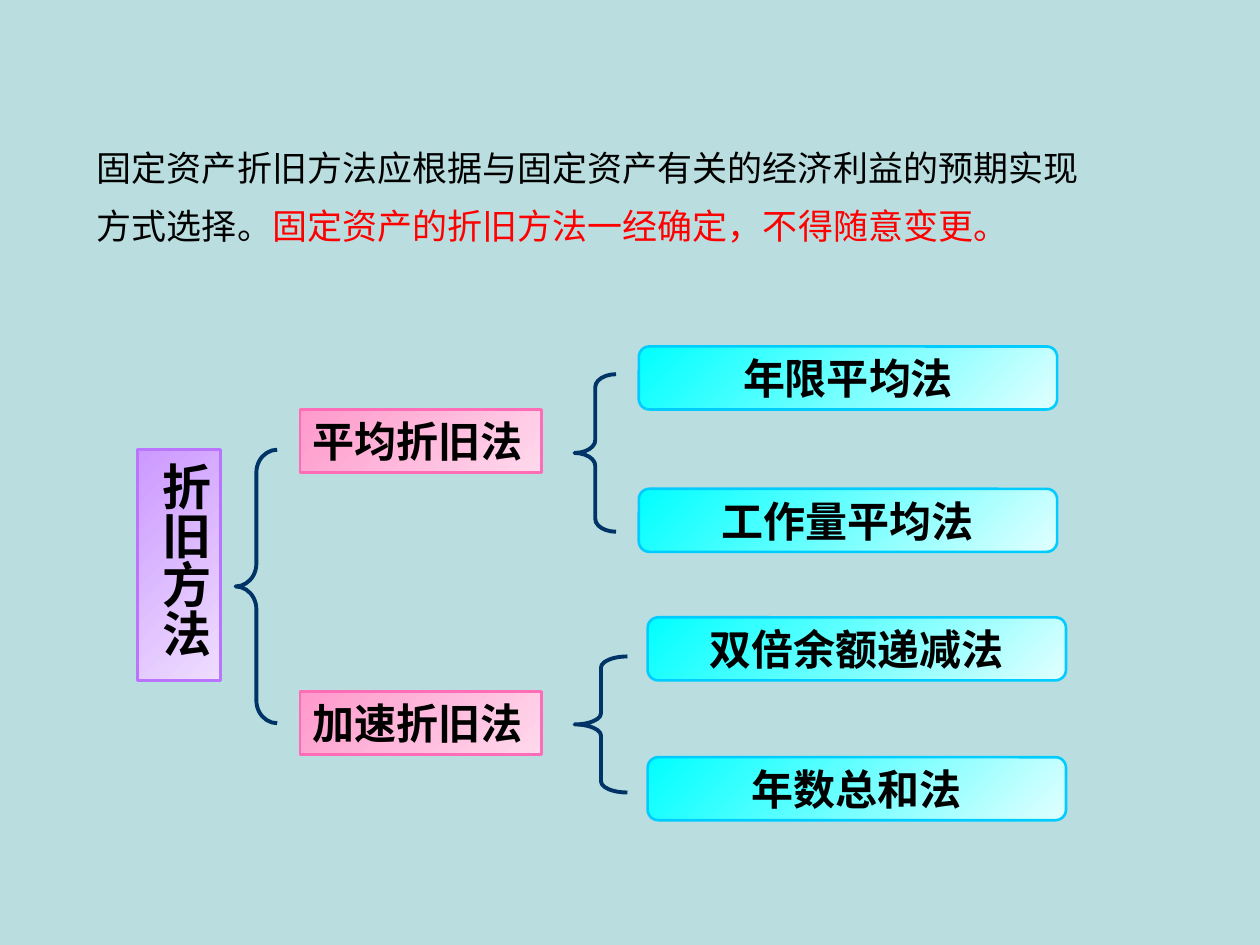
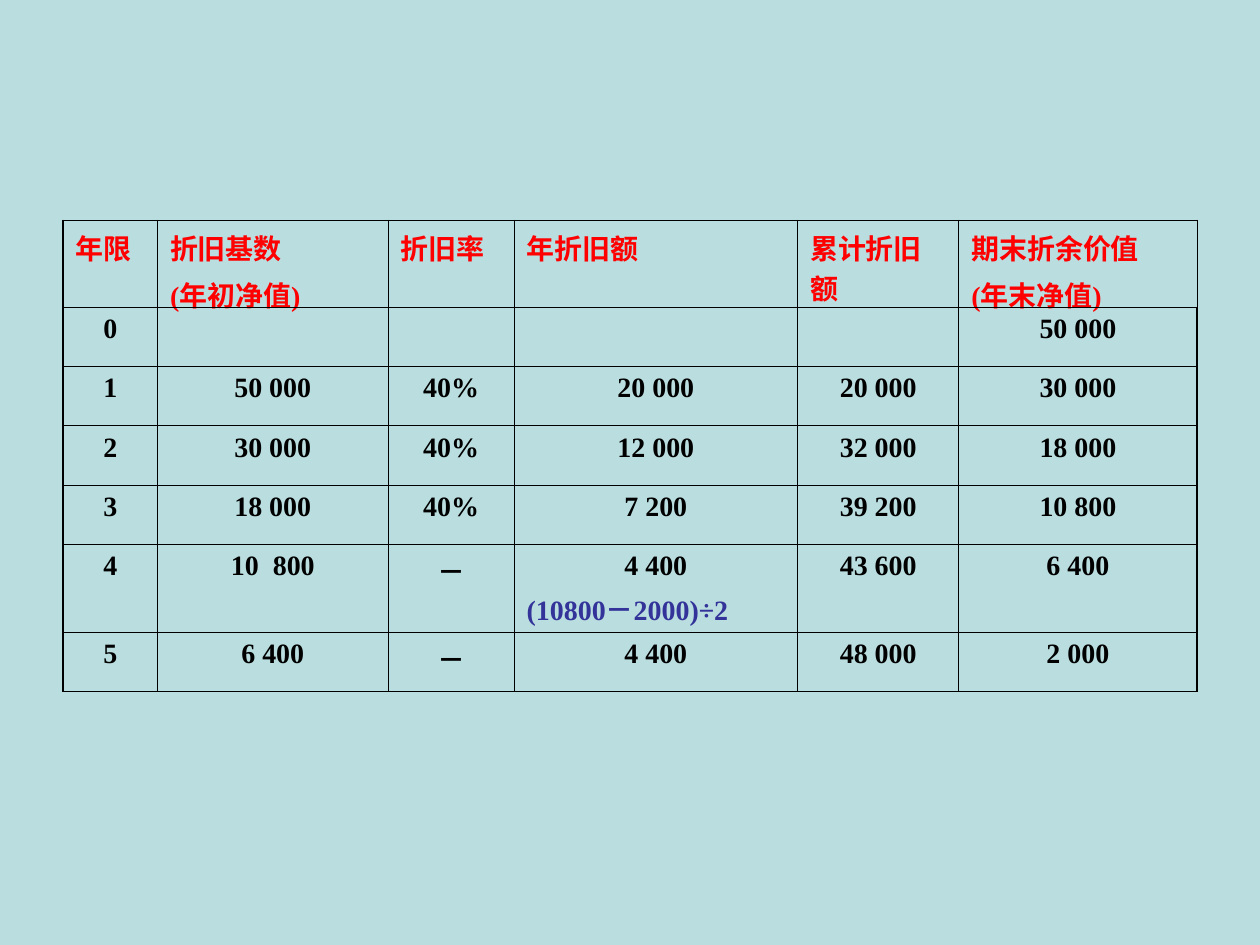
import pptx
import pptx.dml.color
import pptx.enum.shapes
import pptx.enum.text
import pptx.oxml
import pptx.oxml.ns
import pptx.util

RGBColor = pptx.dml.color.RGBColor
Inches = pptx.util.Inches
Pt = pptx.util.Pt
Align = pptx.enum.text.PP_ALIGN
Anchor = pptx.enum.text.MSO_ANCHOR
Shape = pptx.enum.shapes.MSO_SHAPE
qn = pptx.oxml.ns.qn

BACKGROUND = RGBColor(0xBA, 0xDE, 0xE0)
BLACK = RGBColor(0, 0, 0)
RED = RGBColor(0xFF, 0, 0)
INDIGO = RGBColor(0x33, 0x33, 0x99)
NAVY = RGBColor(0, 0x33, 0x66)
VIOLET = RGBColor(0xCC, 0x99, 0xFF)
VIOLET_LIGHT = RGBColor(0xEE, 0xDD, 0xFF)
VIOLET_EDGE = RGBColor(0xBA, 0x75, 0xFF)
PINK = RGBColor(0xFF, 0x99, 0xCC)
PINK_LIGHT = RGBColor(0xFF, 0xD9, 0xEC)
PINK_EDGE = RGBColor(0xFF, 0x6D, 0xB6)
CYAN = RGBColor(0, 0xFF, 0xFF)
CYAN_LIGHT = RGBColor(0xE1, 0xFF, 0xFF)
CYAN_EDGE = RGBColor(0, 0xCC, 0xFF)

CJK_FONT = "Noto Sans CJK SC"
LATIN_FONT = "Arial"
TABLE_FONT = "Times New Roman"

CATEGORIES = [("平均折旧法", 3.25), ("加速折旧法", 5.49)]
METHODS = [
    ("年限平均法", 5.07, 2.75),
    ("工作量平均法", 5.07, 3.88),
    ("双倍余额递减法", 5.14, 4.9),
    ("年数总和法", 5.14, 6.01),
]
BRACES = [
    (1.87, 3.57, 0.33, 2.17, 0.55),
    (4.56, 2.97, 0.33, 1.25, 0.31),
    (4.56, 5.21, 0.42, 1.08, 0.21),
]

COLUMN_WIDTHS = [0.75, 1.83, 1, 2.25, 1.28, 1.89]
ROW_HEIGHTS = [0.69, 0.47, 0.47, 0.47, 0.47, 0.7, 0.47]
HEADINGS = ["年限", "折旧基数\n(年初净值)", "折旧率", "年折旧额", "累计折旧额", "期末折余价值\n(年末净值)"]
SCHEDULE = [
    ["0", "", "", "", "", "50 000"],
    ["1", "50 000", "40%", "20 000", "20 000", "30 000"],
    ["2", "30 000", "40%", "12 000", "32 000", "18 000"],
    ["3", "18 000", "40%", "7 200", "39 200", "10 800"],
    ["4", "10  800", "－", "4 400", "43 600", "6 400"],
    ["5", "6 400", "－", "4 400", "48 000", "2 000"],
]
FINAL_YEARS_FORMULA = "(10800－2000)÷2"


def add_text(paragraph, text, size=24, color=BLACK, bold=True, font=LATIN_FONT, align=Align.LEFT):
    paragraph.alignment = align
    run = paragraph.add_run()
    run.text = text
    run.font.size = Pt(size)
    run.font.bold = bold
    run.font.color.rgb = color
    run.font.name = font
    east_asian = pptx.oxml.parse_xml(f'<a:ea {pptx.oxml.ns.nsdecls("a")} typeface="{CJK_FONT}"/>')
    run.font._element.find(qn("a:latin")).addnext(east_asian)


def set_insets(holder, horizontal=0.1, vertical=0.05):
    holder.margin_left = holder.margin_right = Inches(horizontal)
    holder.margin_top = holder.margin_bottom = Inches(vertical)


def add_slide(deck):
    slide = deck.slides.add_slide(deck.slide_layouts[6])
    slide.background.fill.solid()
    slide.background.fill.fore_color.rgb = BACKGROUND
    return slide


def add_gradient_box(slide, preset, box, colors, edge, text, anchor=Anchor.TOP, **text_format):
    node = slide.shapes.add_shape(preset, *map(Inches, box))
    node.shadow.inherit = False
    node.fill.gradient()
    node.fill.gradient_angle = 315
    for stop, color in zip(node.fill.gradient_stops, colors):
        stop.color.rgb = color
    node.line.color.rgb = edge
    node.line.width = Pt(1.5)
    frame = node.text_frame
    set_insets(frame)
    frame.vertical_anchor = anchor
    add_text(frame.paragraphs[0], text, **text_format)
    return node


def add_brace(slide, left, top, width, height, curl):
    brace = slide.shapes.add_shape(Shape.LEFT_BRACE, *map(Inches, (left, top, width, height)))
    brace.shadow.inherit = False
    brace.adjustments[0] = curl
    brace.fill.background()
    brace.line.color.rgb = NAVY
    brace.line.width = Pt(2.25)


def add_selection_rule(slide):
    rule = slide.shapes.add_textbox(Inches(0.67), Inches(0.99), Inches(8.11), Inches(1.04))
    frame = rule.text_frame
    frame.word_wrap = True
    set_insets(frame)
    paragraph = frame.paragraphs[0]
    paragraph.line_spacing = 1.38
    style = dict(size=20, bold=False, font=CJK_FONT)
    add_text(paragraph, "固定资产折旧方法应根据与固定资产有关的经济利益的预期实现方式选择。", **style)
    add_text(paragraph, "固定资产的折旧方法一经确定，不得随意变更。", color=RED, **style)


def build_methods_slide(deck):
    slide = add_slide(deck)
    root = add_gradient_box(slide, Shape.RECTANGLE, (1.09, 3.57, 0.66, 1.83), (VIOLET, VIOLET_LIGHT),
                            VIOLET_EDGE, "折旧方法", size=28, align=Align.CENTER)
    set_insets(root.text_frame, 0.05, 0.1)
    root.text_frame._txBody.bodyPr.set("vert", "eaVert")
    for category, top in CATEGORIES:
        add_gradient_box(slide, Shape.RECTANGLE, (2.38, top, 1.92, 0.5), (PINK, PINK_LIGHT),
                         PINK_EDGE, category)
    for method, left, top in METHODS:
        add_gradient_box(slide, Shape.ROUNDED_RECTANGLE, (left, top, 3.32, 0.5), (CYAN, CYAN_LIGHT),
                         CYAN_EDGE, method, anchor=Anchor.MIDDLE, align=Align.CENTER)
    for brace in BRACES:
        add_brace(slide, *brace)
    add_selection_rule(slide)


def set_borders(cell, widths):
    properties = cell._tc.get_or_add_tcPr()
    for position, (side, width) in enumerate(widths.items()):
        properties.insert(position, pptx.oxml.parse_xml(
            f'<a:{side} {pptx.oxml.ns.nsdecls("a")} w="{Pt(width)}"><a:solidFill>'
            f'<a:srgbClr val="{BLACK}"/></a:solidFill></a:{side}>'))


def fill_cell(cell, text, **text_format):
    for position, line in enumerate(text.split("\n")):
        frame = cell.text_frame
        paragraph = frame.add_paragraph() if position else frame.paragraphs[0]
        if position:
            paragraph.space_before = Pt(4)
        if line:
            add_text(paragraph, line, size=16, font=TABLE_FONT, **text_format)


def build_schedule_slide(deck):
    slide = add_slide(deck)
    last_row, last_column = len(ROW_HEIGHTS) - 1, len(COLUMN_WIDTHS) - 1
    schedule = slide.shapes.add_table(last_row + 1, last_column + 1, Inches(0.5), Inches(1.75),
                                      Inches(9), Inches(3.74)).table
    schedule.first_row = schedule.horz_banding = False
    for column, width in zip(schedule.columns, COLUMN_WIDTHS):
        column.width = Inches(width)
    for row, height in zip(schedule.rows, ROW_HEIGHTS):
        row.height = Inches(height)
    for r, values in enumerate([HEADINGS] + SCHEDULE):
        for c, value in enumerate(values):
            cell = schedule.cell(r, c)
            set_insets(cell)
            cell.fill.background()
            outer = {"lnL": c == 0, "lnR": c == last_column and r > 0, "lnT": r == 0, "lnB": r == last_row}
            set_borders(cell, {side: 1.08 if edge else 0.45 for side, edge in outer.items()})
            if r == 0:
                fill_cell(cell, value, color=RED)
            else:
                fill_cell(cell, value, align=Align.CENTER)
    formula = schedule.cell(5, 3).text_frame.add_paragraph()
    formula.space_before = Pt(4)
    add_text(formula, FINAL_YEARS_FORMULA, size=16, color=INDIGO, font=TABLE_FONT)


def main():
    deck = pptx.Presentation()
    deck.slide_width, deck.slide_height = Inches(10), Inches(7.5)
    build_methods_slide(deck)
    build_schedule_slide(deck)
    deck.save("out.pptx")


if __name__ == "__main__":
    main()
